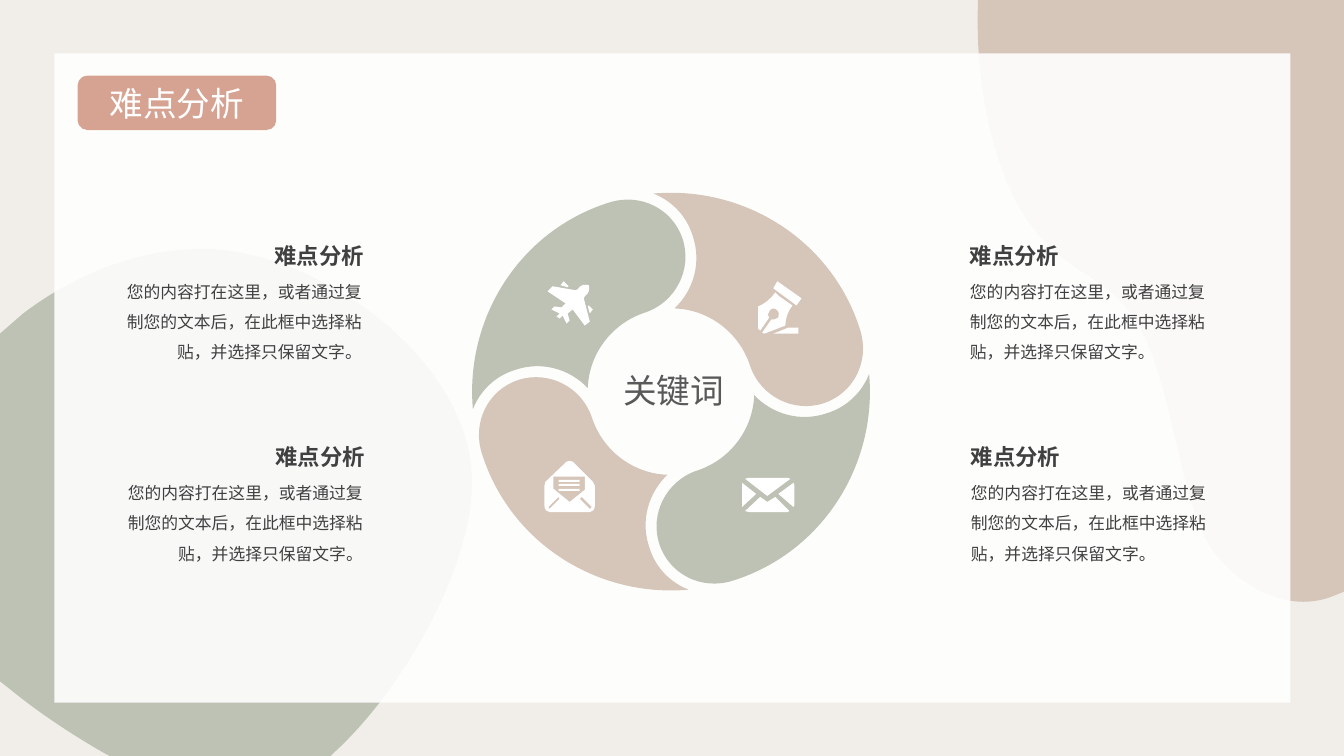
from lxml.etree import SubElement
from pptx import Presentation
from pptx.dml.color import RGBColor
from pptx.enum.shapes import MSO_SHAPE
from pptx.enum.text import MSO_ANCHOR, MSO_AUTO_SIZE, PP_ALIGN
from pptx.oxml.ns import qn
from pptx.util import Pt

PX = 9144
FONT = "Noto Sans CJK SC"
COLORS = {"bg": "F1EEE9", "sage": "BEC2B4", "sand": "D6C5B9", "clay": "D6A392",
          "white": "FFFFFF", "grey": "595959", "ink": "404040"}
HEADING = "难点分析"
BODY = "您的内容打在这里，或者通过复制您的文本后，在此框中选择粘贴，并选择只保留文字。"

SAGE_BLOB = [[(208, 247), (323, 252, 464, 359, 468, 472), (472, 556, 403, 681, 331, 747),
              (328, 750), (109, 750), (103, 747), (70, 728, 37, 706, 9, 683),
              (0, 676), (0, 331), (23, 311), (72, 274, 136, 245, 208, 247)]]
SAND_BLOB = [[(1333, 587), (1333, 0), (970, 0), (970, 2), (968, 58, 975, 113, 992, 163),
              (1033, 279, 1094, 259, 1130, 324), (1166, 389, 1170, 508, 1208, 553),
              (1238, 587, 1282, 608, 1323, 591)]]
PETAL = [[(640, 310), (670, 300, 687, 267, 677, 237), (667, 207, 635, 191, 604, 201),
          (515, 229, 461, 316, 469, 406), (476, 388, 491, 373, 511, 367),
          (537, 358, 565, 366, 583, 385), (584, 352, 606, 321, 640, 310)]]
ENVELOPE = [[(743, 474), (781, 474), (784, 475), (761, 492), (739, 475)],
            [(787, 479), (772, 490), (787, 503), (788, 501), (788, 481)],
            [(783, 507), (781, 508), (743, 508), (739, 507), (754, 493), (761, 498),
             (769, 493)],
            [(736, 503), (750, 490), (736, 479)]]
LETTER = [[(588, 478), (590, 482), (590, 502), (590, 506, 587, 508, 585, 508), (545, 508),
           (543, 508, 540, 506, 540, 502), (540, 482), (541, 478), (562, 458),
           (564, 457, 566, 457, 568, 458)],
          [(549, 473), (549, 485), (565, 498), (580, 486), (580, 473)],
          *[[(554, y), (554, y + 2), (575, y + 2), (575, y)] for y in (476, 480, 485)],
          [(545, 505), (555, 495), (554, 493), (544, 503)],
          [(587, 503), (577, 493), (575, 495), (585, 505)]]
PLANE = [[(584, 283), (585, 288, 584, 291, 580, 294), (579, 296), (585, 319), (580, 323),
          (568, 307), (563, 311), (565, 318), (562, 321), (558, 313), (555, 316),
          (552, 314), (555, 311), (547, 307), (550, 304), (557, 305), (561, 301),
          (543, 289), (548, 284), (571, 288), (573, 287), (576, 282, 580, 282, 584, 283)],
         [(588, 307), (584, 303), (583, 304), (585, 311)],
         [(559, 279), (556, 283), (563, 285), (564, 284)]]
PEN = [[(754, 328), (752, 326), (752, 304), (759, 301, 764, 297, 769, 290), (773, 294),
        (786, 303), (781, 310, 779, 316, 779, 323), (758, 331), (756, 330), (765, 317),
        (767, 317, 770, 317, 772, 315), (773, 312, 773, 309, 770, 307),
        (768, 305, 764, 306, 763, 309), (761, 311, 761, 314, 763, 315)],
       [(767, 331), (792, 331), (792, 325), (782, 325)],
       [(790, 303), (795, 296), (771, 279), (767, 286)]]


def color(name):
    return RGBColor.from_string(COLORS[name])


def quarter_turn(contours):
    """Turn contours 90 degrees clockwise about the wheel centre."""
    def turn(seg):
        return tuple(v for x, y in zip(seg[::2], seg[1::2]) for v in (1054 - y, x - 277))
    return [[turn(seg) for seg in contour] for contour in contours]


def bend(sp, contours):
    """Turn the straight sides that have control points into curves."""
    segs = [seg for contour in contours for seg in contour[1:]]
    sides = list(sp._element.iter(qn("a:lnTo")))
    for side, seg in zip(sides, segs):
        if len(seg) == 6:
            side.clear()
            side.tag = qn("a:cubicBezTo")
            for x, y in zip(seg[::2], seg[1::2]):
                pt = SubElement(side, qn("a:pt"))
                pt.set("x", str(x * PX - sp.left))
                pt.set("y", str(y * PX - sp.top))


def write(tf, text, size=12, fill="ink", bold=False, align=PP_ALIGN.LEFT, spacing=None):
    """Put one formatted paragraph in a text frame."""
    tf.word_wrap = True
    p = tf.paragraphs[0]
    p.alignment = align
    if spacing:
        p.line_spacing = spacing
    r = p.add_run()
    r.text = text
    r.font.size, r.font.bold, r.font.name = Pt(size), bold, FONT
    r.font.color.rgb = color(fill)
    SubElement(r.font._element, qn("a:ea")).set("typeface", FONT)


class Deck:
    """Holds the style and the current slide."""

    def __init__(self, width, height):
        self.prs = Presentation()
        self.prs.slide_width, self.prs.slide_height = width * PX, height * PX
        self.s = self.prs.slides.add_slide(self.prs.slide_layouts[6])
        self.s.background.fill.solid()
        self.s.background.fill.fore_color.rgb = color("bg")

    def paint(self, sp, fill, alpha=None):
        sp.shadow.inherit = False
        sp.fill.solid()
        sp.fill.fore_color.rgb = color(fill)
        sp.line.fill.background()
        if alpha:
            clr = sp._element.spPr.find(".//" + qn("a:srgbClr"))
            SubElement(clr, qn("a:alpha")).set("val", str(alpha * 1000))
        return sp

    def shape(self, kind, x, y, w, h, fill, alpha=None):
        sp = self.s.shapes.add_shape(kind, x * PX, y * PX, w * PX, h * PX)
        return self.paint(sp, fill, alpha)

    def outline(self, contours, fill):
        first, *rest = [[(seg[-2] * PX, seg[-1] * PX) for seg in c] for c in contours]
        builder = self.s.shapes.build_freeform(*first[0])
        builder.add_line_segments(first[1:], close=True)
        for pts in rest:
            builder.move_to(*pts[0])
            builder.add_line_segments(pts[1:], close=True)
        sp = self.paint(builder.convert_to_shape(), fill)
        bend(sp, contours)

    def text(self, x, y, w, h, text, **fmt):
        tf = self.s.shapes.add_textbox(x * PX, y * PX, w * PX, h * PX).text_frame
        tf.margin_left = tf.margin_right = tf.margin_top = tf.margin_bottom = 0
        tf.auto_size = MSO_AUTO_SIZE.SHAPE_TO_FIT_TEXT
        write(tf, text, **fmt)


def main():
    deck = Deck(1333, 750)
    deck.outline(SAGE_BLOB, "sage")
    deck.outline(SAND_BLOB, "sand")
    deck.shape(MSO_SHAPE.RECTANGLE, 54, 53, 1226, 644, "white", alpha=90)

    petal = PETAL
    for fill in ("sage", "sand") * 2:
        deck.outline(petal, fill)
        petal = quarter_turn(petal)
    deck.text(600, 367, 136, 40, "关键词", size=24, fill="grey", align=PP_ALIGN.CENTER)
    for icon in (ENVELOPE, LETTER, PLANE, PEN):
        deck.outline(icon, "white")

    for head_x, body_x, align in ((962, 962, PP_ALIGN.LEFT), (252, 114, PP_ALIGN.RIGHT)):
        for row in range(2):
            y = 240 + 200 * row
            deck.text(head_x + row, y, 109, 27, HEADING, size=16, bold=True, align=align)
            deck.text(body_x + row, y + 29, 245, 91, BODY, align=align, spacing=1.5)

    tag = deck.shape(MSO_SHAPE.ROUNDED_RECTANGLE, 77, 75, 197, 54, "clay")
    tag.adjustments[0] = 0.18
    tag.text_frame.vertical_anchor = MSO_ANCHOR.MIDDLE
    write(tag.text_frame, HEADING, size=24, fill="white", align=PP_ALIGN.CENTER)
    deck.prs.save("out.pptx")


if __name__ == "__main__":
    main()
